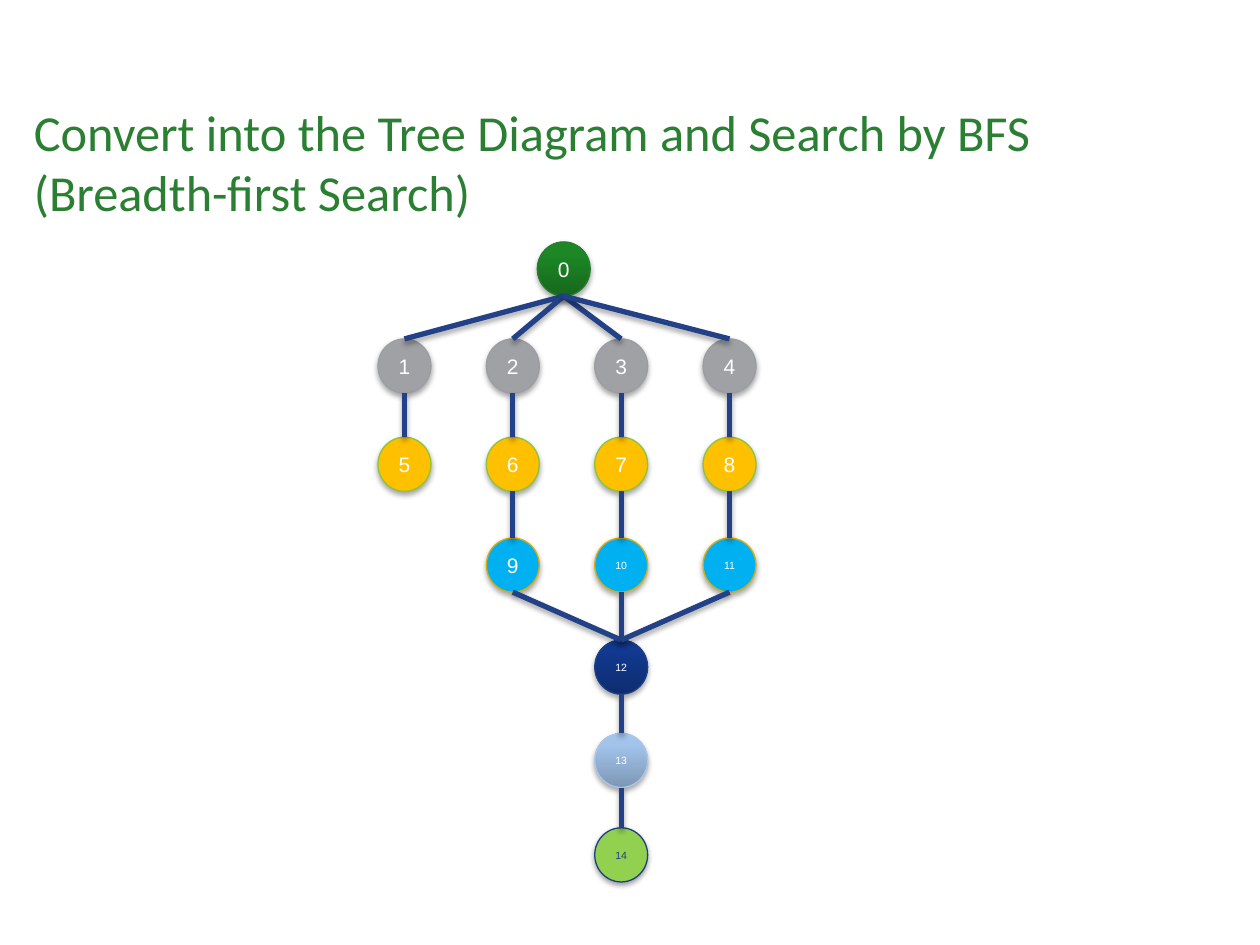
"""Build a slide showing a breadth-first search tree of fifteen numbered nodes."""
import copy

import lxml.etree
import pptx
import pptx.dml.color
import pptx.enum.shapes
import pptx.enum.text
import pptx.oxml.ns
import pptx.util

COLORS = {
    "title": "2B7F32", "link": "224186", "white": "FFFFFF", "shadow": "000000",
    "gray": "9FA1A4", "gray_edge": "9B9DA0", "amber": "FFC000", "amber_edge": "8AC53A",
    "cyan": "00B0F0", "cyan_edge": "DEAC0A", "lime": "92D050", "navy_edge": "1F3F85",
    "root_edge": "287E2F", "pale_edge": "ABC6E6",
    "root_dark": "17681D", "root_mid": "1D8726", "root_light": "1C8A25",
    "navy_dark": "0E2C6F", "navy_mid": "123990", "navy_light": "103993",
    "pale_dark": "7D97B5", "pale_mid": "A2C4EB", "pale_light": "A1C5EE",
}
STOP_POSITIONS = (0, 0.8, 1)
FIRST_COLUMN, COLUMN_STEP = 3.21, 0.86
ROW_TOPS = (1.92, 2.69, 3.47, 4.27, 5.08, 5.82, 6.57)
NODE_WIDTH, NODE_HEIGHT = 0.42, 0.43
ROOT_COLUMN = 1.47

LEVELS = [
    ([ROOT_COLUMN], ("root_dark", "root_mid", "root_light"), "root_edge"),
    ([0, 1, 2, 3], ("gray",), "gray_edge"),
    ([0, 1, 2, 3], ("amber",), "amber_edge"),
    ([1, 2, 3], ("cyan",), "cyan_edge"),
    ([2], ("navy_dark", "navy_mid", "navy_light"), "navy_edge"),
    ([2], ("pale_dark", "pale_mid", "pale_light"), "pale_edge"),
    ([2], ("lime",), "navy_edge"),
]
LINKS = [(0, 1), (0, 2), (0, 3), (0, 4), (1, 5), (2, 6), (3, 7), (4, 8),
         (6, 9), (7, 10), (8, 11), (10, 12), (12, 13), (13, 14), (9, 12), (11, 12)]


def rgb(name):
    return pptx.dml.color.RGBColor.from_string(COLORS[name])


def add_shadow(shape, opacity=35000, distance=23000):
    qn = pptx.oxml.ns.qn
    effects = lxml.etree.SubElement(shape._element.spPr, qn("a:effectLst"))
    outer = lxml.etree.SubElement(effects, qn("a:outerShdw"), blurRad="40000",
                                  dist=str(distance), dir="5400000", rotWithShape="0")
    color = lxml.etree.SubElement(outer, qn("a:srgbClr"), val=COLORS["shadow"])
    lxml.etree.SubElement(color, qn("a:alpha"), val=str(opacity))


presentation = pptx.Presentation()
presentation.slide_width = pptx.util.Inches(10)
presentation.slide_height = pptx.util.Inches(7.5)
slide = presentation.slides.add_slide(presentation.slide_layouts[6])

nodes = []
for row_top, (columns, fills, edge) in zip(ROW_TOPS, LEVELS):
    for column in columns:
        number = len(nodes)
        center = FIRST_COLUMN + column * COLUMN_STEP
        node = slide.shapes.add_shape(
            pptx.enum.shapes.MSO_SHAPE.OVAL,
            pptx.util.Inches(center - NODE_WIDTH / 2), pptx.util.Inches(row_top),
            pptx.util.Inches(NODE_WIDTH), pptx.util.Inches(NODE_HEIGHT))
        if len(fills) == 1:
            node.fill.solid()
            node.fill.fore_color.rgb = rgb(fills[0])
        else:
            node.fill.gradient()
            node.fill.gradient_angle = 90
            stops = node._element.spPr.find(".//" + pptx.oxml.ns.qn("a:gsLst"))
            stops.insert(1, copy.deepcopy(stops[0]))
            for stop, name, position in zip(node.fill.gradient_stops, fills, STOP_POSITIONS):
                stop.color.rgb = rgb(name)
                stop.position = position
        node.line.color.rgb = rgb(edge)
        node.line.width = pptx.util.Pt(0.75)
        if number == 14:
            add_shadow(node, 38000, 20000)
        else:
            add_shadow(node)
        frame = node.text_frame
        frame.margin_left = frame.margin_right = frame.margin_top = frame.margin_bottom = 0
        frame.word_wrap = False
        frame.vertical_anchor = pptx.enum.text.MSO_ANCHOR.MIDDLE
        paragraph = frame.paragraphs[0]
        paragraph.alignment = pptx.enum.text.PP_ALIGN.CENTER
        run = paragraph.add_run()
        run.text = str(number)
        run.font.name = "Arial"
        run.font.size = pptx.util.Pt(12 if number < 10 else 6)
        run.font.color.rgb = rgb("link" if number == 14 else "white")
        nodes.append(node)

for parent_number, child_number in LINKS:
    parent, child = nodes[parent_number], nodes[child_number]
    link = slide.shapes.add_connector(
        pptx.enum.shapes.MSO_CONNECTOR.STRAIGHT,
        parent.left + parent.width // 2, parent.top + parent.height,
        child.left + child.width // 2, child.top)
    link.line.color.rgb = rgb("link")
    link.line.width = pptx.util.Pt(3)
    add_shadow(link)

title = slide.shapes.add_textbox(pptx.util.Inches(0.17), pptx.util.Inches(0.75),
                                 pptx.util.Inches(9.67), pptx.util.Inches(0.5))
title.text_frame.word_wrap = True
run = title.text_frame.paragraphs[0].add_run()
run.text = "Convert into the Tree Diagram and Search by BFS (Breadth-first Search)"
run.font.name = "Calibri"
run.font.size = pptx.util.Pt(28.8)
run.font.color.rgb = rgb("title")

presentation.save("out.pptx")
